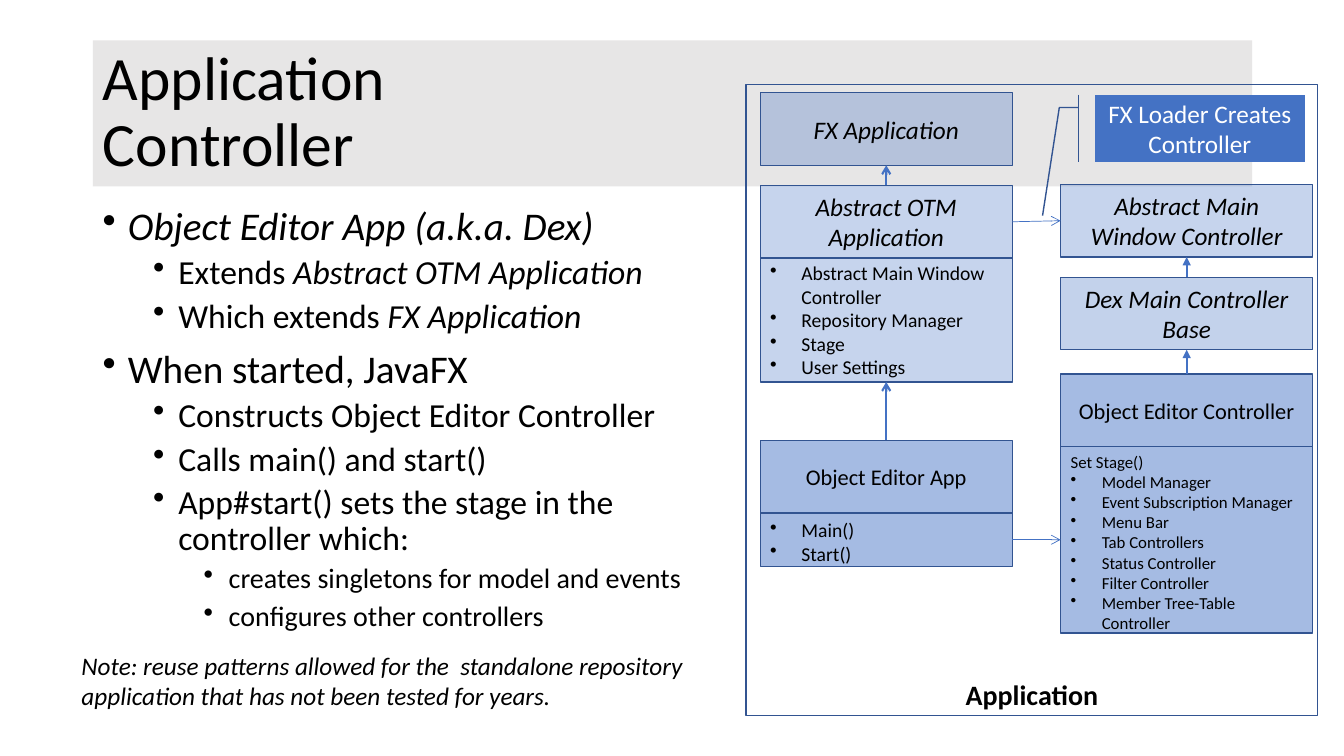
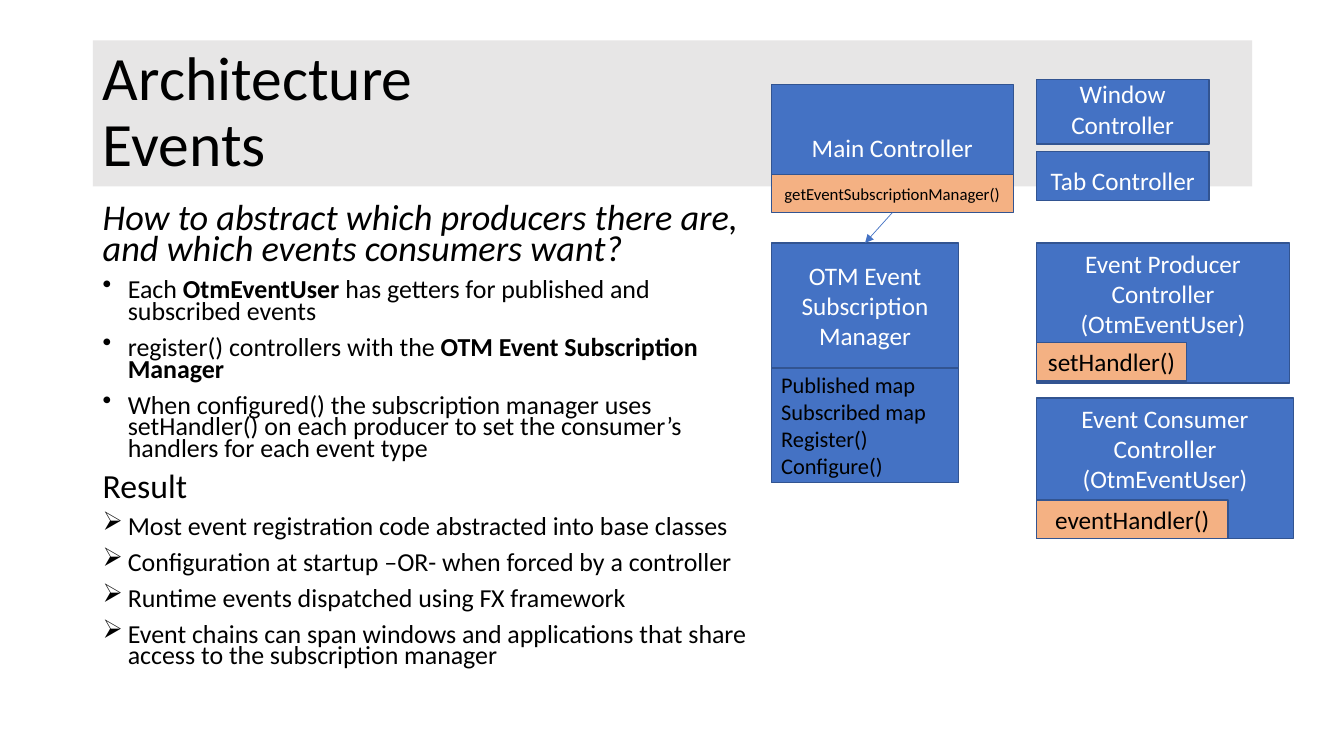
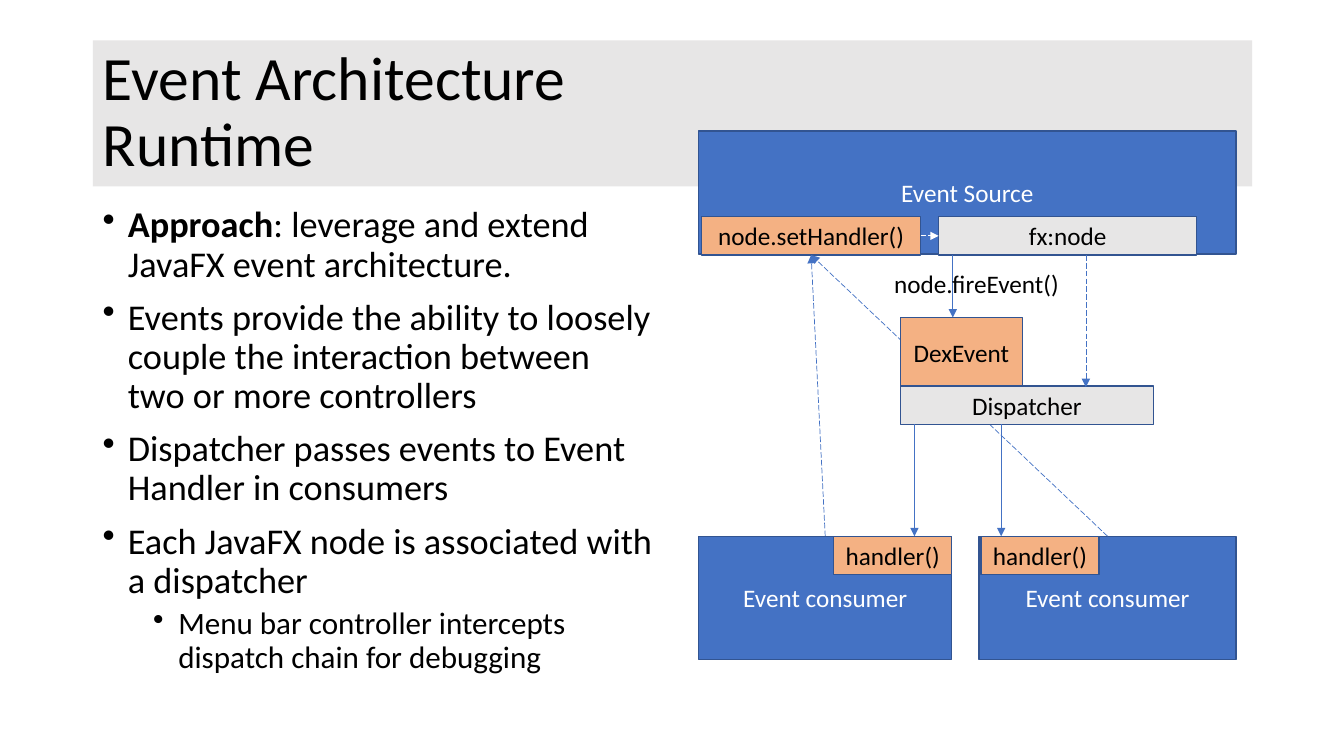
import pptx
import pptx.util
import pptx.dml.color
import pptx.enum.dml
import pptx.enum.shapes
import pptx.enum.text
import pptx.oxml
import pptx.oxml.ns
from lxml import etree

PX = 9144
FONT = "Calibri"
COLOURS = {
    "band": "E7E6E6",
    "blue": "4472C4",
    "outline": "325491",
    "steel": "8FAADC",
    "pale": "B4C7E7",
    "orange": "F4B183",
    "black": "000000",
    "white": "FFFFFF",
}
ANCHOR = pptx.enum.text.MSO_ANCHOR
ALIGN = pptx.enum.text.PP_ALIGN
SHAPE = pptx.enum.shapes.MSO_SHAPE
TOP, LEFT, BOTTOM, RIGHT = range(4)
TITLE_BOX = (92, 40, 1150, 145)
INDENTS = (25, 75, 125)
SPACE_BEFORE = (10, 5, 5)


def emu(box):
    """Turn px lengths into EMU."""
    return [pptx.util.Emu(length * PX) for length in box]


def rgb(colour):
    """Look up a named colour."""
    return pptx.dml.color.RGBColor.from_string(COLOURS[colour])


def add_xml(parent, tag, **attributes):
    """Append a drawing element to its parent."""
    return etree.SubElement(parent, pptx.oxml.ns.qn(tag), attributes)


def style_run(run, size, colour="black", bold=False, italic=False):
    """Format one run."""
    run.font.name = FONT
    run.font.size = pptx.util.Pt(size)
    run.font.color.rgb = rgb(colour)
    run.font.bold = bold
    run.font.italic = italic


def style_paragraphs(frame, align, **style):
    """Align every paragraph of a frame and format its runs."""
    for paragraph in frame.paragraphs:
        paragraph.alignment = align
        for run in paragraph.runs:
            style_run(run, **style)


def add_bullet(paragraph, symbol, margin, hanging):
    """Give a paragraph a hanging bullet."""
    properties = paragraph._p.get_or_add_pPr()
    properties.set("marL", str(margin * PX))
    properties.set("indent", str(-hanging * PX))
    add_xml(properties, "a:buChar", char=symbol)


def add_titled_slide(deck, title):
    """Add a slide with the shared grey title band."""
    slide = deck.slides.add_slide(deck.slide_layouts[5])
    band = slide.shapes.title
    band.left, band.top, band.width, band.height = emu(TITLE_BOX)
    band.fill.solid()
    band.fill.fore_color.rgb = rgb("band")
    frame = band.text_frame
    frame.text = title
    frame.vertical_anchor = ANCHOR.MIDDLE
    frame.auto_size = pptx.enum.text.MSO_AUTO_SIZE.NONE
    frame.paragraphs[0].line_spacing = 0.9
    style_paragraphs(frame, ALIGN.LEFT, size=44)
    return slide


def add_body(slide, box, points, spacing=0.9):
    """Add outline text from (size, level, symbol, runs) points."""
    frame = slide.shapes.add_textbox(*emu(box)).text_frame
    frame.word_wrap = True
    for index, (size, level, symbol, runs) in enumerate(points):
        paragraph = frame.add_paragraph() if index else frame.paragraphs[0]
        paragraph.level = level
        paragraph.line_spacing = spacing
        paragraph.space_before = pptx.util.Pt(SPACE_BEFORE[level] if index else 0)
        if symbol:
            add_bullet(paragraph, symbol, INDENTS[level], 25)
        for text, emphasis in runs:
            run = paragraph.add_run()
            run.text = text
            style_run(run, size, bold=emphasis == "bold", italic=emphasis == "italic")


def add_label(slide, box, text, **style):
    """Add free-standing text."""
    frame = slide.shapes.add_textbox(*emu(box)).text_frame
    frame.word_wrap = True
    frame.text = text
    style_paragraphs(frame, ALIGN.LEFT, size=18, **style)


def add_block(slide, box, text, fill="blue", opacity=100, size=18, colour="black",
              anchor=ANCHOR.MIDDLE, align=ALIGN.CENTER, preset=SHAPE.RECTANGLE, **style):
    """Add an outlined diagram block."""
    block = slide.shapes.add_shape(preset, *emu(box))
    block.shadow.inherit = False
    block.line.color.rgb = rgb("outline")
    block.line.width = pptx.util.Pt(1)
    if fill:
        block.fill.solid()
        block.fill.fore_color.rgb = rgb(fill)
        if opacity < 100:
            tint = block._element.spPr.find(".//" + pptx.oxml.ns.qn("a:srgbClr"))
            add_xml(tint, "a:alpha", val=str(opacity * 1000))
    else:
        block.fill.background()
    frame = block.text_frame
    frame.word_wrap = True
    frame.text = text
    frame.vertical_anchor = anchor
    style_paragraphs(frame, align, size=size, colour=colour, **style)
    return block


def add_members(slide, box, members, heading=None, **style):
    """Add a block that lists class members under an optional heading."""
    lines = ([heading] if heading else []) + members
    block = add_block(slide, box, "\n".join(lines), align=ALIGN.LEFT, **style)
    for paragraph in block.text_frame.paragraphs[len(lines) - len(members):]:
        add_bullet(paragraph, "•", 31, 31)
    return block


def add_arrow(slide, start=(0, 0), end=(0, 0), head="triangle", width=0.5,
              colour="blue", dashed=False):
    """Add an arrow between two points."""
    arrow = slide.shapes.add_connector(
        pptx.enum.shapes.MSO_CONNECTOR.STRAIGHT, *emu(start + end))
    arrow.line.color.rgb = rgb(colour)
    arrow.line.width = pptx.util.Pt(width)
    if dashed:
        arrow.line.dash_style = pptx.enum.dml.MSO_LINE.LONG_DASH
    add_xml(arrow.line._get_or_add_ln(), "a:tailEnd", type=head)
    add_xml(arrow._element.spPr, "a:effectLst")
    return arrow


def join(slide, source, source_side, target, target_side, **style):
    """Add an arrow attached to the sides of two blocks."""
    arrow = add_arrow(slide, **style)
    arrow.begin_connect(source, source_side)
    arrow.end_connect(target, target_side)


def build_application_controller(deck):
    """Build the class diagram of the application."""
    slide = add_titled_slide(deck, "Application\vController")
    add_body(slide, (92, 200, 629, 476), [
        (28, 0, "•", [("Object Editor App (a.k.a. Dex)", "italic")]),
        (24, 1, "•", [("Extends ", ""), ("Abstract OTM Application", "italic")]),
        (24, 1, "•", [("Which extends ", ""), ("FX Application", "italic")]),
        (28, 0, "•", [("When started, JavaFX", "")]),
        (24, 1, "•", [("Constructs Object Editor Controller", "")]),
        (24, 1, "•", [("Calls main() and start()", "")]),
        (24, 1, "•", [("App#start() sets the stage in the controller which:", "")]),
        (20, 2, "•", [("creates singletons for model and events", "")]),
        (20, 2, "•", [("configures other controllers", "")]),
    ])
    app_x, controller_x, width, height = 754, 1052, 250, 72
    concrete = {"fill": "steel", "opacity": 80}
    abstract = {"fill": "blue", "opacity": 30}

    editor_controller = add_block(slide, (controller_x, 371, width, height),
                                  "Object Editor Controller", size=16, **concrete)
    editor_app = add_block(slide, (app_x, 437, width, height),
                           "Object Editor App", size=16, **concrete)
    app_methods = add_members(slide, (app_x, 509, width, 53), ["Main()", "Start()"],
                              size=14, anchor=ANCHOR.TOP, **concrete)
    otm_app = add_block(slide, (app_x, 184, width, height),
                        "Abstract OTM Application", italic=True, **abstract)
    otm_fields = add_members(
        slide, (app_x, 256, width, 123),
        ["Abstract Main Window Controller", "Repository Manager", "Stage", "User Settings"],
        size=14, **abstract)
    add_block(slide, (740, 84, 567, 626), "Application", fill=None, size=20,
              anchor=ANCHOR.BOTTOM, bold=True)
    controller_members = add_members(
        slide, (controller_x, 443, width, 185),
        ["Model Manager", "Event Subscription Manager", "Menu Bar", "Tab Controllers",
         "Status Controller", "Filter Controller", "Member Tree-Table Controller"],
        heading="Set Stage()", size=12, anchor=ANCHOR.TOP, **concrete)
    fx_app = add_block(slide, (app_x, 92, width, height), "FX Application",
                       italic=True, **abstract)
    window_controller = add_block(slide, (controller_x, 183, width, height),
                                  "Abstract Main Window Controller", italic=True, **abstract)
    dex_base = add_block(slide, (controller_x, 275, width, height),
                         "Dex Main Controller Base", fill="pale", opacity=80, italic=True)

    for child, parent, head in [
        (editor_controller, dex_base, "triangle"),
        (dex_base, window_controller, "triangle"),
        (editor_app, otm_fields, "arrow"),
        (otm_app, fx_app, "arrow"),
    ]:
        join(slide, child, TOP, parent, BOTTOM, head=head, width=1.5)
    for owner, controller in [(app_methods, controller_members), (otm_app, window_controller)]:
        join(slide, owner, RIGHT, controller, LEFT, head="arrow")

    loader = add_block(slide, (1086, 94, 208, 67), "FX Loader Creates Controller",
                       colour="white", preset=SHAPE.LINE_CALLOUT_2_ACCENT_BAR)
    for index, bend in enumerate((0.19, -0.08, 0.19, -0.17, 1.79, -0.25)):
        loader.adjustments[index] = bend
    add_label(slide, (71, 640, 666, 71),
              "Note: reuse patterns allowed for the  standalone repository application "
              "that has not been tested for years.", italic=True)


def build_architecture_events(deck):
    """Build the slide on event subscription."""
    slide = add_titled_slide(deck, "Architecture\vEvents")
    add_body(slide, (92, 200, 673, 476), [
        (25.9, 0, None, [("How to abstract which producers there are, "
                          "and which events consumers want?", "italic")]),
        (18.5, 0, "•", [("Each ", ""), ("OtmEventUser ", "bold"),
                        ("has getters for published and subscribed events", "")]),
        (18.5, 0, "•", [("register() controllers with the ", ""),
                        ("OTM Event Subscription Manager", "bold")]),
        (18.5, 0, "•", [("When configured() the subscription manager uses setHandler() on each "
                         "producer to set the consumer’s handlers for each event type", "")]),
        (24.1, 0, None, [("Result", "")]),
    ] + [(18.5, 0, "➢", [(result, "")]) for result in (
        "Most event registration code abstracted into base classes",
        "Configuration at startup –OR- when forced by a controller",
        "Runtime events dispatched using FX framework",
        "Event chains can span windows and applications that share access "
        "to the subscription manager",
    )], spacing=0.7)
    manager_x, user_x = 765, 1028

    for box, text, anchor in [
        ((manager_x, 84, 240, 124), "Main Controller", ANCHOR.MIDDLE),
        ((user_x, 241, 251, 139), "Event Producer Controller (OtmEventUser)", ANCHOR.TOP),
        ((user_x, 395, 255, 139), "Event Consumer Controller\n(OtmEventUser)", ANCHOR.TOP),
        ((user_x, 150, 171, 49), "Tab Controller", ANCHOR.BOTTOM),
        ((user_x, 79, 171, 64), "Window Controller", ANCHOR.BOTTOM),
    ]:
        add_block(slide, box, text, colour="white", anchor=anchor)
    add_block(slide, (user_x, 340, 149, 38), "setHandler()", fill="orange")
    add_block(slide, (user_x, 496, 190, 38), "eventHandler()", fill="orange")
    subscription_manager = add_block(slide, (manager_x, 241, 186, 124),
                                     "OTM Event Subscription Manager", colour="white")
    add_block(slide, (manager_x, 365, 186, 114),
              "Published map\nSubscribed map\nRegister()\nConfigure()",
              size=16, align=ALIGN.LEFT)
    manager_getter = add_block(slide, (manager_x, 173, 240, 38),
                               "getEventSubscriptionManager()", fill="orange", size=12)
    join(slide, manager_getter, BOTTOM, subscription_manager, TOP)


def build_event_runtime(deck):
    """Build the slide on events at runtime."""
    slide = add_titled_slide(deck, "Event Architecture\vRuntime")
    add_body(slide, (92, 200, 567, 476), [
        (25.9, 0, "•", [("Approach", "bold"),
                        (": leverage and extend JavaFX event architecture.", "")]),
        (25.9, 0, "•", [("Events provide the ability to loosely couple the interaction "
                         "between two or more controllers", "")]),
        (25.9, 0, "•", [("Dispatcher passes events to Event Handler in consumers", "")]),
        (25.9, 0, "•", [("Each JavaFX node is associated with a dispatcher", "")]),
        (22.2, 1, "•", [("Menu bar controller intercepts dispatch chain for debugging", "")]),
    ])
    consumer_y, strip = 532, 38

    add_block(slide, (693, 130, 533, 122), "Event Source", colour="white")
    set_handler = add_block(slide, (696, 215, 217, strip), "node.setHandler()", fill="orange")
    fx_node = add_block(slide, (931, 215, 256, strip), "fx:node", fill="band")
    for x, width in [(693, 251), (971, 255)]:
        consumer = add_block(slide, (x, consumer_y, width, 122), "Event consumer",
                             colour="white")
        join(slide, consumer, TOP, set_handler, BOTTOM, dashed=True)
    add_arrow(slide, (945, 253), (945, 315))
    add_label(slide, (877, 261, 189, 40), "node.fireEvent()")
    add_block(slide, (893, 315, 121, 70), "DexEvent", fill="orange")
    add_block(slide, (893, 383, 251, strip), "Dispatcher", fill="band")
    for x in (907, 993):
        add_arrow(slide, (x, 421), (x, consumer_y))
    add_arrow(slide, (1077, 253), (1077, 384), dashed=True)
    join(slide, set_handler, RIGHT, fx_node, LEFT, colour="white", dashed=True)
    for x in (827, 973):
        add_block(slide, (x, consumer_y, 117, strip), "handler()", fill="orange")


def main():
    """Build and save the presentation."""
    deck = pptx.Presentation()
    deck.slide_width, deck.slide_height = emu((1333, 750))
    build_application_controller(deck)
    build_architecture_events(deck)
    build_event_runtime(deck)
    deck.save("out.pptx")


if __name__ == "__main__":
    main()
